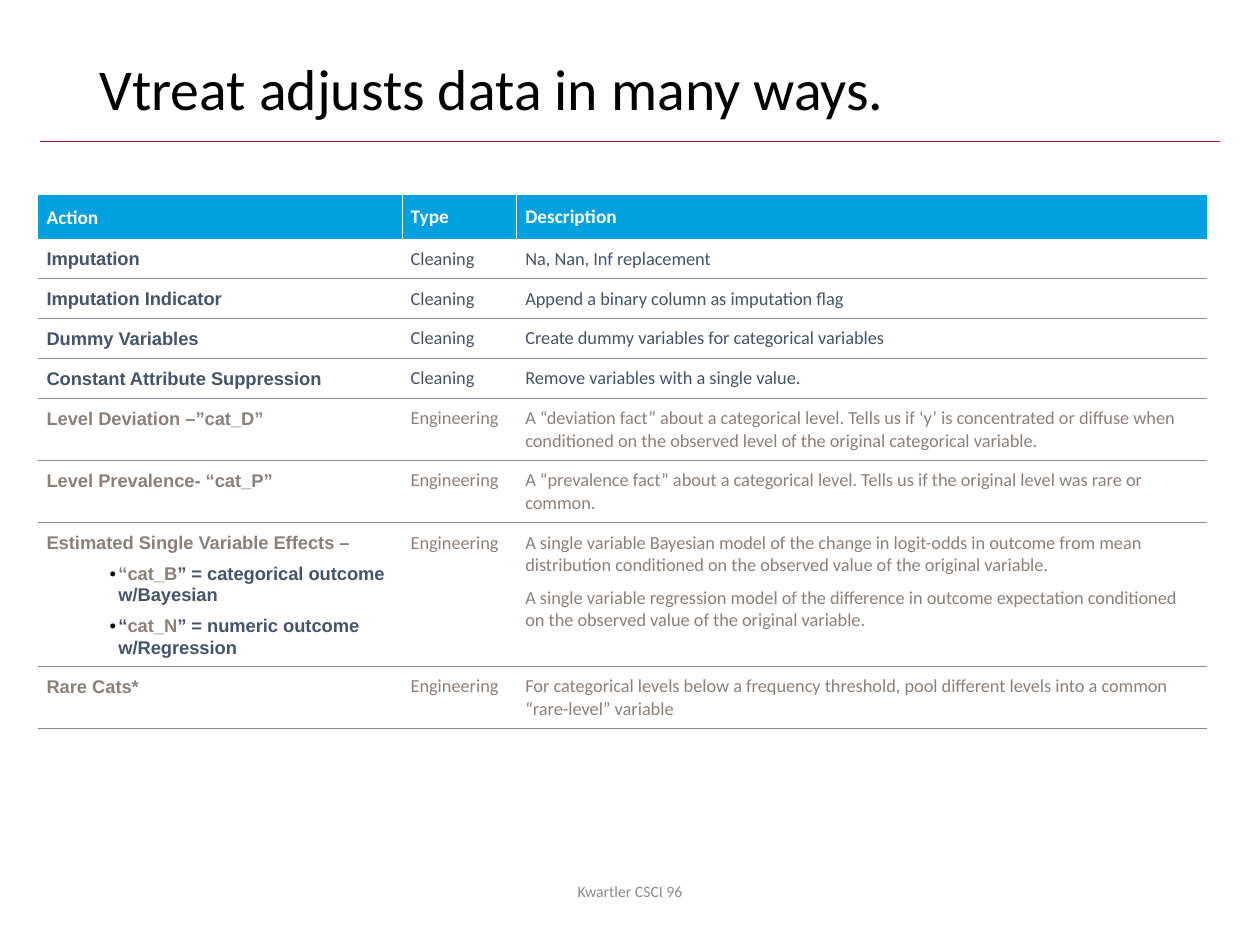
import pptx
import pptx.util
import pptx.dml.color
import pptx.enum.shapes
import pptx.enum.text
import pptx.oxml
from pptx.oxml.ns import nsdecls, qn

Inches, Pt = pptx.util.Inches, pptx.util.Pt
ANCHOR = pptx.enum.text.MSO_ANCHOR
ALIGN = pptx.enum.text.PP_ALIGN

HUES = {"black": "000000", "white": "FFFFFF", "head": "00A1DE", "rule": "A51C30",
        "clean": "44546A", "build": "8C8179", "gray": "8C8C8C"}
PLAIN = "{2D5ABB26-0587-4C30-8999-92F81FD0307C}"
PAD = 0.07

FONTS = {
    "title": {"name": "Calibri", "size": Pt(33), "bold": False},
    "head": {"name": "Calibri", "size": Pt(11), "bold": True},
    "action": {"name": "Arial", "size": Pt(10.5), "bold": True},
    "body": {"name": "Calibri", "size": Pt(10.5), "bold": False},
    "foot": {"name": "Calibri", "size": Pt(9), "bold": False},
}

COLS = [2.89, 0.91, 5.48]
ROWS = [0.32] + [0.3] * 4 + [0.42, 0.42, 0.95, 0.4]
HEADS = ["Action", "Type", "Description"]
CLEAN = [
    ("Imputation", "Na, Nan, Inf replacement"),
    ("Imputation Indicator", "Append a binary column as imputation flag"),
    ("Dummy Variables", "Create dummy variables for categorical variables"),
    ("Constant Attribute Suppression", "Remove variables with a single value."),
]
BUILD = [
    ("Level Deviation –”cat_D”",
     "A “deviation fact” about a categorical level. Tells us if ‘y’ is concentrated or diffuse "
     "when conditioned on the observed level of the original categorical variable."),
    ("Level Prevalence- “cat_P”",
     "A “prevalence fact” about a categorical level. Tells us if the original level was rare "
     "or common."),
    ("Estimated Single Variable Effects –",
     "A single variable Bayesian model of the change in logit-odds in outcome from mean "
     "distribution conditioned on the observed value of the original variable."),
    ("Rare Cats*",
     "For categorical levels below a frequency threshold, pool different levels into a common "
     "“rare-level” variable"),
]
EFFECTS = 2
POINTS = [
    [("“cat_B", "build"), ("” = categorical outcome w/Bayesian", "clean")],
    [("“", "clean"), ("cat_N", "build"), ("” = numeric outcome w/Regression", "clean")],
]
MORE = ("A single variable regression model of the difference in outcome expectation "
        "conditioned on the observed value of the original variable.")


def color(key):
    return pptx.dml.color.RGBColor.from_string(HUES[key])


def assign(item, **values):
    for key, value in values.items():
        setattr(item, key, value)


def write(para, runs, style, **layout):
    """Fill a paragraph with (text, hue) runs in one font style."""
    assign(para, **layout)
    for text, hue in runs:
        run = para.add_run()
        run.text = text
        assign(run.font, **FONTS[style])
        run.font.color.rgb = color(hue)


def bullet(para):
    props = para._p.get_or_add_pPr()
    props.set("marL", str(Inches(0.57)))
    props.set("indent", str(-Inches(PAD)))
    for xml in (f'<a:buClr {nsdecls("a")}><a:srgbClr val="{HUES["black"]}"/></a:buClr>',
                f'<a:buFont {nsdecls("a")} typeface="Arial"/>',
                f'<a:buChar {nsdecls("a")} char="•"/>'):
        props.append(pptx.oxml.parse_xml(xml))


def border(cell, sides):
    """Draw half-point edges; sides maps L, R, T or B to a hue, in that order."""
    for side, hue in sides.items():
        cell._tc.get_or_add_tcPr().append(pptx.oxml.parse_xml(
            f'<a:ln{side} {nsdecls("a")} w="{Pt(0.5)}"><a:solidFill>'
            f'<a:srgbClr val="{HUES[hue]}"/></a:solidFill></a:ln{side}>'))


def dress(cell, sides, fill=None):
    margins = ("margin_left", "margin_right", "margin_top", "margin_bottom")
    assign(cell, **dict.fromkeys(margins, Inches(PAD)))
    border(cell, sides)
    if fill:
        cell.fill.solid()
        cell.fill.fore_color.rgb = color(fill)
    else:
        cell.fill.background()


def add_title(slide, left, top, width, height):
    title = slide.shapes.title
    assign(title, left=Inches(left), top=Inches(top), width=Inches(width), height=Inches(height))
    assign(title.text_frame, vertical_anchor=ANCHOR.MIDDLE, word_wrap=True,
           auto_size=pptx.enum.text.MSO_AUTO_SIZE.NONE)
    write(title.text_frame.paragraphs[0], [("Vtreat adjusts data in many ways.", "black")],
          "title", line_spacing=0.9, alignment=ALIGN.LEFT)


def add_rule(slide, left, top, width):
    rule = slide.shapes.add_connector(
        pptx.enum.shapes.MSO_CONNECTOR.STRAIGHT,
        Inches(left), Inches(top), Inches(left + width), Inches(top))
    rule.line.width = Pt(0.5)
    rule.line.color.rgb = color("rule")
    rule._element.spPr.append(pptx.oxml.parse_xml(f'<a:effectLst {nsdecls("a")}/>'))


def add_grid(slide, left, top):
    frame = slide.shapes.add_table(len(ROWS), len(COLS), Inches(left), Inches(top),
                                   Inches(sum(COLS)), Inches(sum(ROWS)))
    table = frame.table
    table.horz_banding = False
    table._tbl.tblPr.find(qn("a:tableStyleId")).text = PLAIN
    for col, width in zip(table.columns, COLS):
        col.width = Inches(width)
    for row, height in zip(table.rows, ROWS):
        row.height = Inches(height)

    for c, text in enumerate(HEADS):
        cell = table.cell(0, c)
        dress(cell, {"L": "white", "R": "white"} if c else {"R": "white"}, "head")
        cell.vertical_anchor = ANCHOR.MIDDLE
        write(cell.text_frame.paragraphs[0], [(text, "white")], "head",
              line_spacing=1.0 if c else 1.1)

    items = [(name, "Cleaning", note, "clean") for name, note in CLEAN]
    items += [(name, "Engineering", note, "build") for name, note in BUILD]
    for r, (*texts, hue) in enumerate(items, 1):
        for c, text in enumerate(texts):
            cell = table.cell(r, c)
            dress(cell, {"B": "gray"}, "white" if r > len(CLEAN) + 1 else None)
            write(cell.text_frame.paragraphs[0], [(text, hue)], "body" if c else "action",
                  line_spacing=1.0 if c else 1.06)

    row = 1 + len(CLEAN) + EFFECTS
    for runs in POINTS:
        para = table.cell(row, 0).text_frame.add_paragraph()
        bullet(para)
        write(para, runs, "action", level=1, line_spacing=1.06, space_before=Pt(5.25))
    write(table.cell(row, 2).text_frame.add_paragraph(), [(MORE, "build")], "body",
          space_before=Pt(6))


def add_foot(slide, left, top, width, height):
    box = slide.shapes.add_textbox(Inches(left), Inches(top), Inches(width), Inches(height))
    box.text_frame.word_wrap = True
    write(box.text_frame.paragraphs[0], [("Kwartler CSCI 96", "gray")], "foot",
          alignment=ALIGN.CENTER)


def main():
    deck = pptx.Presentation()
    assign(deck, slide_width=Inches(10), slide_height=Inches(7.5))
    slide = deck.slides.add_slide(deck.slide_layouts.get_by_name("Title Only"))
    add_rule(slide, 0.32, 1.12, 9.36)
    add_title(slide, 0.69, 0.4, 8.62, 0.65)
    add_grid(slide, 0.3, 1.55)
    add_foot(slide, 3.31, 6.95, 3.38, 0.4)
    deck.save("out.pptx")


if __name__ == "__main__":
    main()
